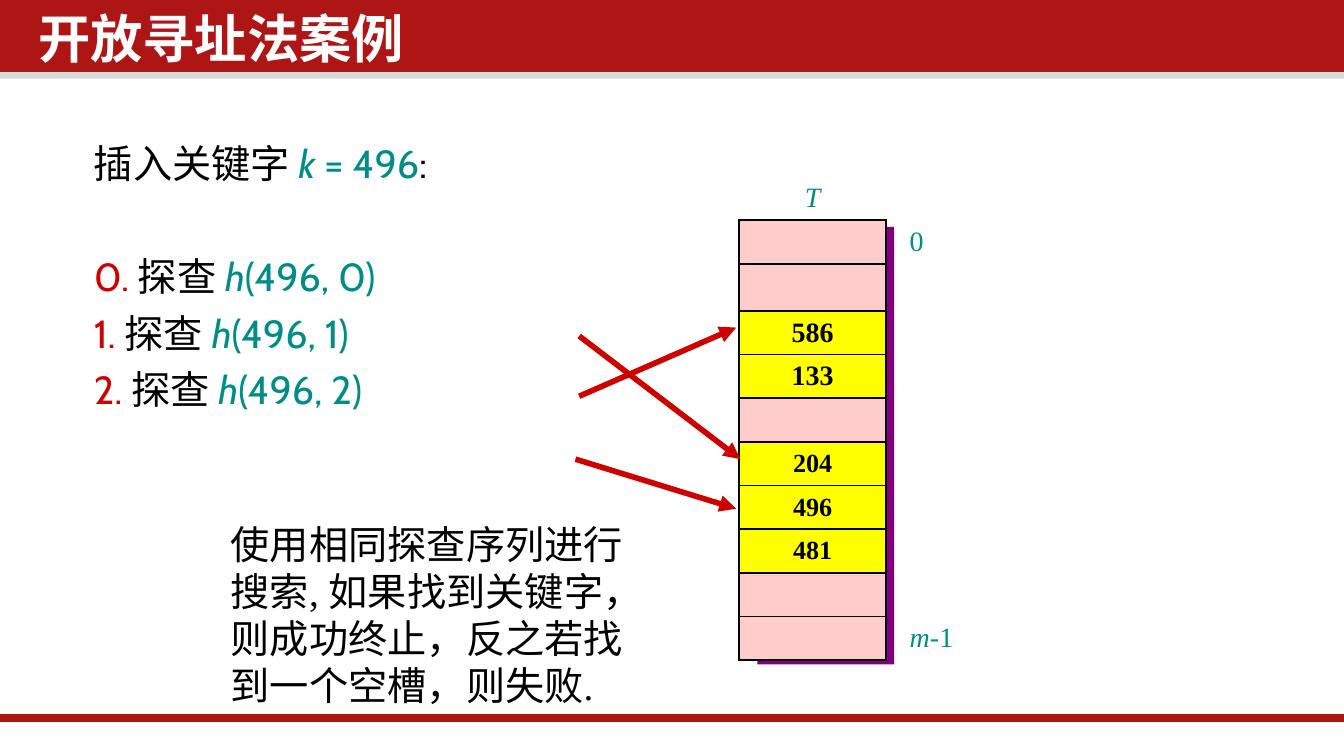
from lxml.etree import SubElement
from pptx import Presentation
from pptx.dml.color import RGBColor
from pptx.enum.shapes import MSO_CONNECTOR, MSO_SHAPE
from pptx.enum.text import MSO_ANCHOR, PP_ALIGN
from pptx.oxml.ns import qn
from pptx.util import Pt

COLORS = {
    "banner": "AE1616", "grey": "D9D9D9", "white": "FFFFFF", "black": "000000",
    "teal": "008C87", "red": "CE0000", "purple": "800080",
    "empty": "FFCCCC", "filled": "FFFF00",
}
CJK_FONT = "Noto Sans CJK SC"
SERIF = "Times New Roman"
KEYS = [None, None, 586, 133, None, 204, 496, 481, None, None]


def rgb(name):
    return RGBColor.from_string(COLORS[name])


def set_attributes(target, values):
    for name, value in values.items():
        setattr(target, name, value)


def add_run(paragraph, text, color, **font_values):
    run = paragraph.add_run()
    run.text = text
    run.font.color.rgb = rgb(color)
    set_attributes(run.font, font_values)
    SubElement(run._r.get_or_add_rPr(), qn("a:ea")).set("typeface", CJK_FONT)


def add_rectangle(slide, color, *box):
    shape = slide.shapes.add_shape(MSO_SHAPE.RECTANGLE, *map(Pt, box))
    shape.shadow.inherit = False
    shape.fill.solid()
    shape.fill.fore_color.rgb = rgb(color)
    shape.line.fill.background()


def add_line(slide, color, width, start, end, arrow=False):
    line = slide.shapes.add_connector(
        MSO_CONNECTOR.STRAIGHT, *map(Pt, (*start, *end)))
    line.line.color.rgb = rgb(color)
    line.line.width = Pt(width)
    if arrow:
        SubElement(line.line._get_or_add_ln(), qn("a:tailEnd")).set("type", "triangle")
    SubElement(line._element.spPr, qn("a:effectLst"))


def add_text_frame(slide, *box, **frame_values):
    frame = slide.shapes.add_textbox(*map(Pt, box)).text_frame
    set_attributes(frame, {"word_wrap": True, **frame_values})
    return frame


def add_steps(slide):
    frame = add_text_frame(slide, 43.2, 74.2, 620.6, 257)
    style = {"size": Pt(21), "name": "Cabin"}
    steps = [[("插入关键字 ", "black"), ("k", "teal"), (" = 496", "teal"), (":", "black")]]
    steps += [[(f"{i}. ", "red"), ("探查 ", "black"), ("h", "teal"), (f"(496, {i})", "teal")]
              for i in range(3)]
    for index, parts in enumerate(steps):
        paragraph = frame.paragraphs[0] if index == 0 else frame.add_paragraph()
        # The first probe stands one line below the heading
        space = 37.8 if index == 1 else 7.5
        set_attributes(paragraph, {"line_spacing": 0.9, "space_before": Pt(space)})
        for text, color in parts:
            add_run(paragraph, text, color, italic=text in ("k", "h"), **style)


def set_borders(cell, sides):
    properties = cell._tc.get_or_add_tcPr()
    for side in "LRTB":
        line = SubElement(properties, qn(f"a:ln{side}"))
        if side in sides:
            line.set("w", str(Pt(1)))
            fill = SubElement(line, qn("a:solidFill"))
            SubElement(fill, qn("a:srgbClr")).set("val", COLORS["black"])
        else:
            line.set("w", "0")
            SubElement(line, qn("a:noFill"))


def format_cell(cell, parts, borders, fill=None, align=PP_ALIGN.CENTER, left=5.4):
    set_attributes(cell, {
        "margin_left": Pt(left), "margin_right": Pt(5.4), "margin_top": Pt(2.7),
        "margin_bottom": Pt(2.7), "vertical_anchor": MSO_ANCHOR.MIDDLE})
    set_borders(cell, borders)
    if fill:
        cell.fill.solid()
        cell.fill.fore_color.rgb = rgb(fill)
    else:
        cell.fill.background()
    paragraph = cell.text_frame.paragraphs[0]
    paragraph.alignment = align
    for text, color, values in parts:
        add_run(paragraph, text, color, name=SERIF, **values)
    if not parts:
        # Keeps empty rows from growing
        SubElement(paragraph._p, qn("a:endParaRPr")).set("sz", "1200")


def add_hash_table(slide):
    row_count = len(KEYS) + 1
    frame = slide.shapes.add_table(
        row_count, 2, Pt(396), Pt(94.5), Pt(157.6), Pt(259.2))
    table = frame.table
    set_attributes(table, {"first_row": False, "horz_banding": False})
    for column in table.columns:
        column.width = Pt(78.8)
    for index, row in enumerate(table.rows):
        row.height = Pt(25.2 if index == 2 else 23.4)

    italic = {"size": Pt(15), "italic": True}
    plain = {"size": Pt(15), "italic": False}
    labels = {1: [("0", "teal", plain)],
              len(KEYS): [("m", "teal", italic), ("-1", "teal", plain)]}
    format_cell(table.cell(0, 0), [("T", "teal", italic)], "B")
    format_cell(table.cell(0, 1), [], "")
    for index, key in enumerate(KEYS, start=1):
        size = Pt(15 if index < 5 else 14)
        parts = [(str(key), "black", {"size": size, "bold": True})] if key else []
        format_cell(table.cell(index, 0), parts, "LRTB", "filled" if key else "empty")
        format_cell(table.cell(index, 1), labels.get(index, []), "L",
                    align=PP_ALIGN.LEFT, left=12.6)


def main():
    presentation = Presentation()
    set_attributes(presentation, {"slide_width": Pt(720), "slide_height": Pt(405)})
    slide = presentation.slides.add_slide(presentation.slide_layouts[6])

    # Banner, footer line and title
    add_rectangle(slide, "grey", 0, 36, 720, 6.2)
    add_rectangle(slide, "banner", 0, 0, 720, 38.6)
    add_line(slide, "banner", 4, (-1.4, 384.6), (720, 384.6))
    title = add_text_frame(slide, 15.1, 4.3, 550, 42.5, margin_left=Pt(5.4),
                           margin_right=Pt(5.4), margin_top=Pt(2.7), margin_bottom=Pt(2.7))
    set_attributes(title.paragraphs[0], {"line_spacing": 0.9, "space_before": Pt(7.5)})
    add_run(title.paragraphs[0], "开放寻址法案例", "white",
            size=Pt(28), name=CJK_FONT, bold=True)

    # Probe steps
    add_steps(slide)

    # Hash table on its purple shadow
    add_rectangle(slide, "purple", 405.8, 121.5, 73.2, 234.4)
    add_hash_table(slide)

    # Probe arrows
    for start, end in [((308.3, 246), (394.4, 272.5)),
                       ((310.3, 180), (396.7, 246)),
                       ((310.3, 212.3), (394.4, 175.5))]:
        add_line(slide, "red", 3, start, end, arrow=True)

    # Search rule
    rule = add_text_frame(slide, 116.6, 275, 232.6, 108.7)
    add_run(rule.paragraphs[0],
            "使用相同探查序列进行搜索, 如果找到关键字，则成功终止，反之若找到一个空槽，则失败.",
            "black", size=Pt(21), name=SERIF)

    presentation.save("out.pptx")


if __name__ == "__main__":
    main()
